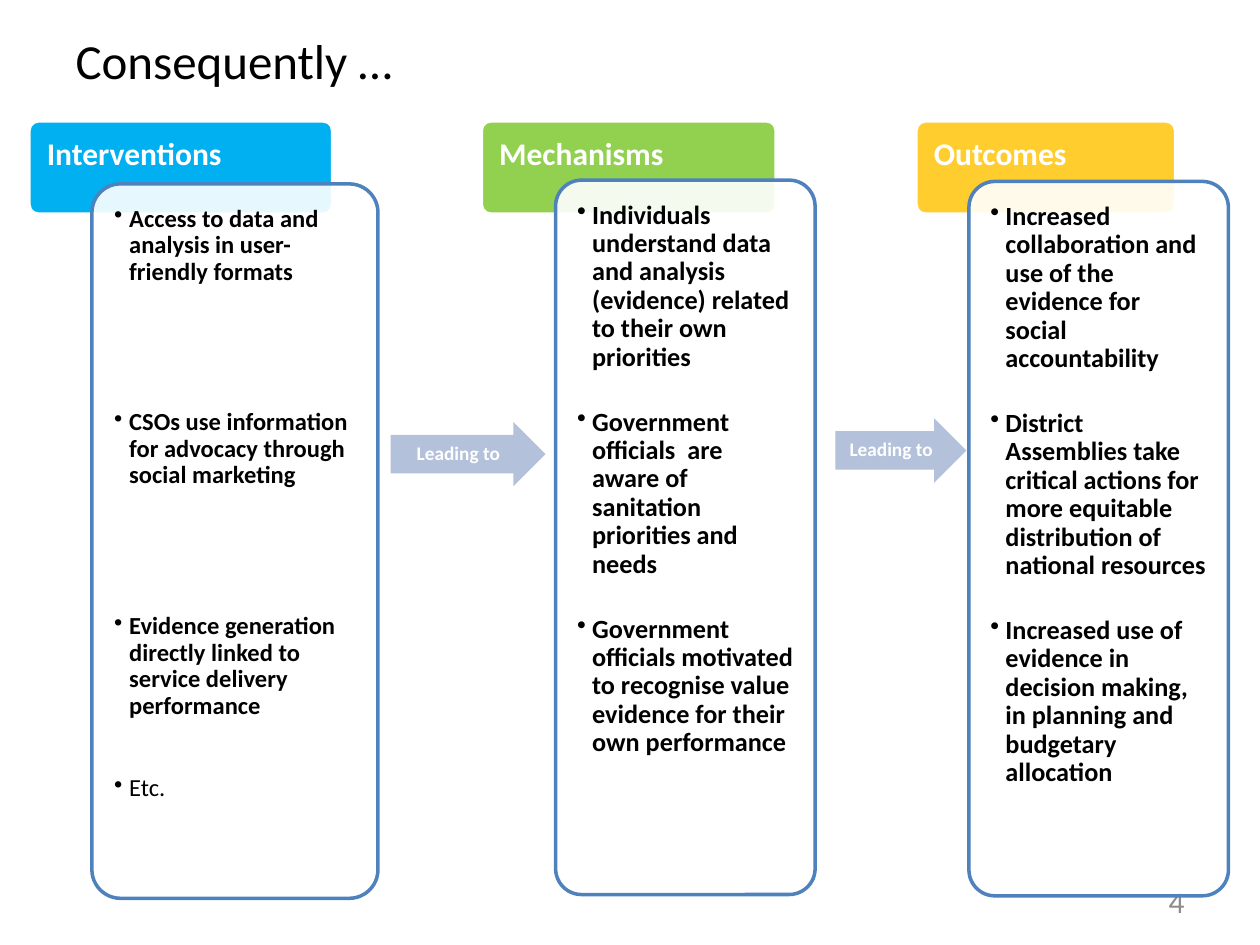
import pptx
import pptx.util
import pptx.dml.color
import pptx.enum.shapes
import pptx.enum.text
import lxml.etree
from pptx.oxml.ns import qn

Inches = pptx.util.Inches
Pt = pptx.util.Pt
RGBColor = pptx.dml.color.RGBColor
MSO_SHAPE = pptx.enum.shapes.MSO_SHAPE
MSO_ANCHOR = pptx.enum.text.MSO_ANCHOR
PP_ALIGN = pptx.enum.text.PP_ALIGN

BLACK = RGBColor(0x00, 0x00, 0x00)
WHITE = RGBColor(0xFF, 0xFF, 0xFF)
GREY = RGBColor(0x8C, 0x8C, 0x8C)
CYAN = RGBColor(0x00, 0xB0, 0xF0)
GREEN = RGBColor(0x92, 0xD0, 0x50)
YELLOW = RGBColor(0xFF, 0xCD, 0x2D)
BORDER_BLUE = RGBColor(0x4F, 0x81, 0xBD)
ARROW_BLUE = RGBColor(0xB3, 0xC1, 0xDB)

HEADER_TOP, HEADER_HEIGHT = 0.96, 0.74
PANEL_HEIGHT = 5.67
ARROW_HEIGHT = 0.51

COLUMNS = [
    ("Interventions", CYAN, 0.23, 2.41, 0.73, 1.46, 2.27, 14, [
        ("Access to data and analysis in user-friendly formats", 0, True),
        ("CSOs use information for advocacy through  social marketing", 71, True),
        ("Evidence generation directly linked to service delivery performance", 71, True),
        ("Etc.", 32, False),
    ]),
    ("Mechanisms", GREEN, 3.82, 2.34, 4.41, 1.43, 2.06, 15, [
        ("Individuals understand data and analysis  (evidence) related to their own priorities", 0, True),
        ("Government officials  are aware of sanitation priorities and needs", 21, True),
        ("Government officials motivated to recognise value evidence for their own performance", 21, True),
    ]),
    ("Outcomes", YELLOW, 7.27, 2.06, 7.69, 1.44, 2.06, 15, [
        ("Increased collaboration and use of the evidence for social accountability", 0, True),
        ("District Assemblies take critical actions for more equitable distribution of national resources", 21, True),
        ("Increased use of evidence in decision making, in planning and budgetary allocation", 21, True),
    ]),
]
ARROWS = [(3.10, 3.35, 1.23), (6.63, 3.32, 1.04)]


def write(paragraph, text, size, color, bold=False, align=PP_ALIGN.LEFT):
    paragraph.text = text
    paragraph.alignment = align
    font = paragraph.runs[0].font
    font.name = "Calibri"
    font.size = Pt(size)
    font.bold = bold
    font.color.rgb = color


def add_block(kind, left, top, width, height, fill, line, margins, anchor):
    shape = slide.shapes.add_shape(
        kind, Inches(left), Inches(top), Inches(width), Inches(height))
    shape.shadow.inherit = False
    shape.fill.solid()
    shape.fill.fore_color.rgb = fill
    if line is None:
        shape.line.fill.background()
    else:
        shape.line.color.rgb = line
        shape.line.width = Pt(2)
    frame = shape.text_frame
    frame.word_wrap = True
    frame.vertical_anchor = anchor
    (frame.margin_left, frame.margin_top,
     frame.margin_right, frame.margin_bottom) = [Inches(m) for m in margins]
    frame.paragraphs[0].line_spacing = 0.9
    return shape


presentation = pptx.Presentation()
presentation.slide_width = Inches(10)
presentation.slide_height = Inches(7.5)
slide = presentation.slides.add_slide(presentation.slide_layouts[5])

title = slide.shapes.title
title.left, title.top = Inches(0.5), Inches(0.11)
title.width, title.height = Inches(9), Inches(0.73)
title.text_frame.vertical_anchor = MSO_ANCHOR.MIDDLE
write(title.text_frame.paragraphs[0], "Consequently …", 28, BLACK)

page_number = slide.shapes.add_textbox(Inches(7.17), Inches(6.95), Inches(2.33), Inches(0.4))
page_number.text_frame.word_wrap = True
page_number.text_frame.vertical_anchor = MSO_ANCHOR.MIDDLE
write(page_number.text_frame.paragraphs[0], "4", 18, GREY, align=PP_ALIGN.RIGHT)

for (heading, color, header_left, header_width, panel_left, panel_top,
     panel_width, size, points) in COLUMNS:
    header = add_block(MSO_SHAPE.ROUNDED_RECTANGLE, header_left, HEADER_TOP, header_width,
                       HEADER_HEIGHT, color, WHITE, (0.12, 0.12, 0.12, 0.07), MSO_ANCHOR.TOP)
    header.adjustments[0] = 0.1
    write(header.text_frame.paragraphs[0], heading, 18, WHITE, bold=True)

    panel = add_block(MSO_SHAPE.ROUNDED_RECTANGLE, panel_left, panel_top, panel_width,
                      PANEL_HEIGHT, WHITE, BORDER_BLUE, (0.11, 0.11, 0.11, 0.11), MSO_ANCHOR.TOP)
    panel.adjustments[0] = 0.1
    fill_color = panel.fill._xPr.find(qn("a:solidFill"))[0]
    lxml.etree.SubElement(fill_color, qn("a:alpha"), val="90000")

    for index, (text, gap, bold) in enumerate(points):
        frame = panel.text_frame
        paragraph = frame.add_paragraph() if index else frame.paragraphs[0]
        write(paragraph, text, size, BLACK, bold)
        paragraph.line_spacing = 0.9
        paragraph.space_before = Pt(gap)
        properties = paragraph._p.get_or_add_pPr()
        properties.set("marL", str(Inches(0.12)))
        properties.set("indent", str(-Inches(0.12)))
        lxml.etree.SubElement(properties, qn("a:buChar"), char="•")

for left, top, width in ARROWS:
    arrow = add_block(MSO_SHAPE.RIGHT_ARROW, left, top, width, ARROW_HEIGHT,
                      ARROW_BLUE, None, (0, 0, 0, 0), MSO_ANCHOR.MIDDLE)
    arrow.adjustments[0] = 0.6
    arrow.adjustments[1] = 0.5
    write(arrow.text_frame.paragraphs[0], "Leading to", 11, WHITE, True, PP_ALIGN.CENTER)

presentation.save("out.pptx")
